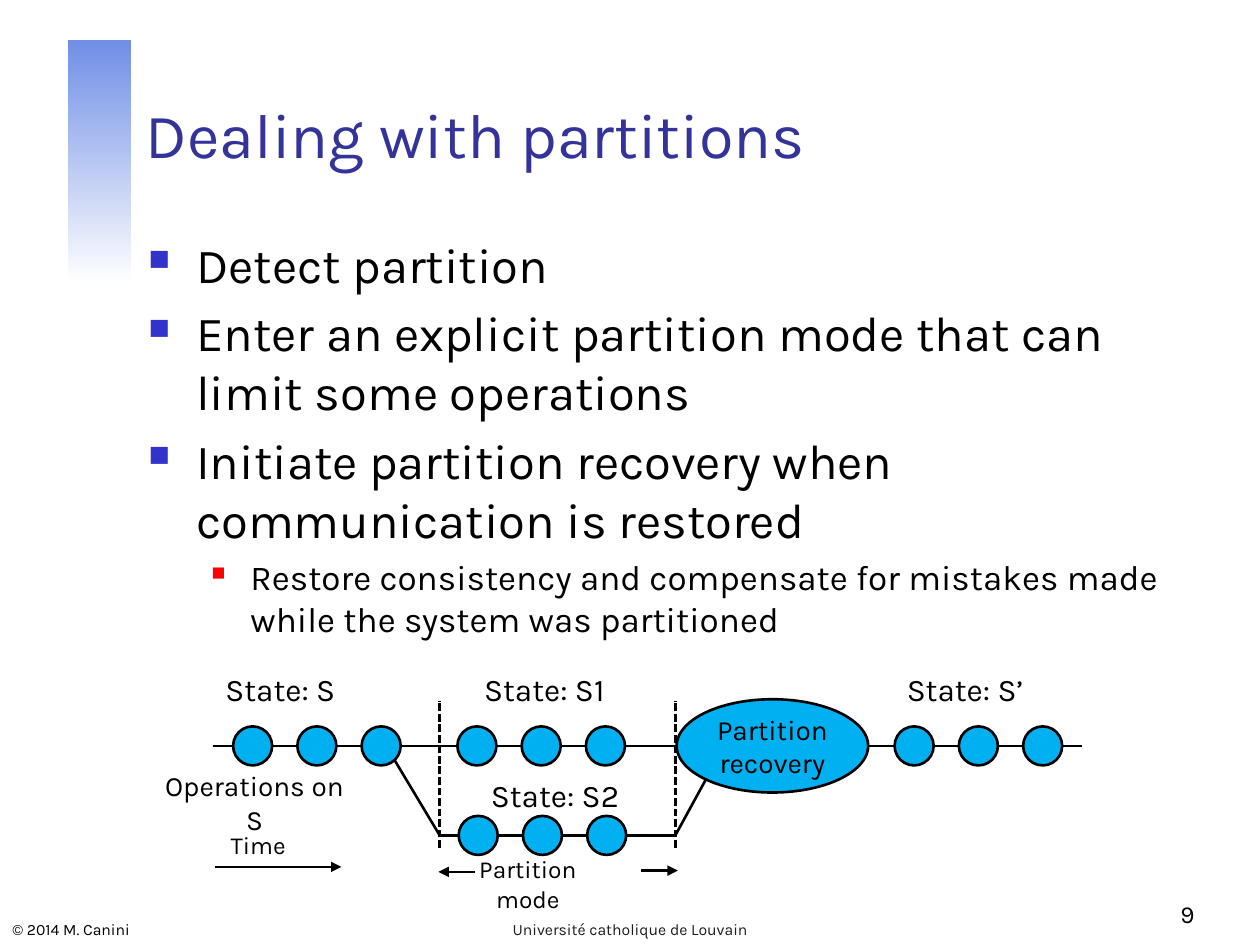
from itertools import pairwise

from lxml import etree
from pptx import Presentation
from pptx import util as u
from pptx.dml.color import RGBColor
from pptx.enum import dml, shapes, text
from pptx.oxml.ns import qn

THEME = {
    "font": "Karla", "ink": "000000", "title": "333399", "footer": "1C1C1C",
    "bullet": "3333CC", "sub_bullet": "FF0000", "node": "00B0F0",
    "band": ("708FE6", "FFFFFF"), "line": 1.5,
    "size": {"title": 36, "body": 28, "sub": 20, "state": 18, "note": 16,
             "small": 14, "footer": 9},
}
SIZE = THEME["size"]
CENTER, RIGHT = text.PP_ALIGN.CENTER, text.PP_ALIGN.RIGHT
BOTTOM = text.MSO_ANCHOR.BOTTOM

# Content
TITLE = "Dealing with partitions"
POINTS = [  # level, words
    (0, "Detect partition"),
    (0, "Enter an explicit partition mode that can limit some operations"),
    (0, "Initiate partition recovery when communication is restored"),
    (1, "Restore consistency and compensate for mistakes made while the system was partitioned"),
]
LEVELS = [  # size, bullet colour, bullet percent, text indent, hanging
    (SIZE["body"], THEME["bullet"], 60, 0.38, 0.38),
    (SIZE["sub"], THEME["sub_bullet"], 55, 0.81, 0.31),
]
FOOTERS = [  # words, box, size, colour, alignment
    ("© 2014 M. Canini", (0, 7.22, 3.02, 0.28), SIZE["footer"], THEME["ink"], None),
    ("Université catholique de Louvain", (3.42, 7.22, 3.16, 0.28), SIZE["footer"],
     THEME["footer"], CENTER),
    ("9", (7.5, 6.92, 2.08, 0.5), SIZE["small"], THEME["ink"], RIGHT),
]
LABELS = [  # words, box, size
    ("State: S", (1.68, 5.27, 1.09, 0.4), SIZE["state"]),
    ("State: S1", (3.71, 5.27, 1.22, 0.4), SIZE["state"]),
    ("State: S2", (3.79, 6.11, 1.23, 0.4), SIZE["state"]),
    ("State: S’", (7.08, 5.27, 1.16, 0.4), SIZE["state"]),
    ("Time", (1.73, 6.54, 0.64, 0.34), SIZE["small"]),
]
WRAPPED_LABELS = [  # words, box, size, left and right insets
    ("Operations on S", (1.22, 6.05, 1.8, 0.37), SIZE["note"], (0.05, 0.25)),
    ("Partition mode", (3.7, 6.73, 1.46, 0.34), SIZE["small"], (0.08, 0.56)),
]

# Diagram geometry
NODE, PITCH, NODES_PER_STATE = 0.31, 0.51, 3
MAIN_Y, BRANCH_Y = 5.92, 6.63
SPLIT_X, MERGE_X = 3.49, 5.36
RECOVERY = (5.37, 5.55, 1.52, 0.74)
TIMELINES = [  # y, line start, line end, first node of each state
    (MAIN_Y, 1.69, 8.59, (1.85, 3.63, 7.1)),
    (BRANCH_Y, SPLIT_X, MERGE_X, (3.64,)),
]
BRANCHES = [(3.13, 6.03, SPLIT_X, BRANCH_Y), (MERGE_X, BRANCH_Y, 5.6, 6.19)]
ARROWS = [(1.71, 6.88, 2.71, 6.88), (5.09, 6.91, 5.38, 6.91), (3.77, 6.92, 3.48, 6.92)]

deck = Presentation()
deck.slide_width, deck.slide_height = u.Inches(10), u.Inches(7.5)
slide = deck.slides.add_slide(deck.slide_layouts[6])


def inches(values):
    return [u.Inches(v) for v in values]


def rgb(name):
    return RGBColor.from_string(name)


def style(paragraph, size, color=THEME["ink"], align=None):
    paragraph.alignment = align
    paragraph.font.name = THEME["font"]
    paragraph.font.size = u.Pt(size)
    paragraph.font.color.rgb = rgb(color)


def add_text(words, box, size, color=THEME["ink"], align=None, anchor=None, wrap=True):
    frame = slide.shapes.add_textbox(*inches(box)).text_frame
    frame.word_wrap = wrap
    frame.vertical_anchor = anchor
    frame.text = words
    style(frame.paragraphs[0], size, color, align)
    return frame


def add_ellipse(box):
    ellipse = slide.shapes.add_shape(shapes.MSO_SHAPE.OVAL, *inches(box))
    ellipse.shadow.inherit = False
    ellipse.fill.solid()
    ellipse.fill.fore_color.rgb = rgb(THEME["node"])
    ellipse.line.color.rgb = rgb(THEME["ink"])
    ellipse.line.width = u.Pt(THEME["line"])
    return ellipse


def add_line(ends, dashed=False, arrow=False):
    line = slide.shapes.add_connector(shapes.MSO_CONNECTOR.STRAIGHT, *inches(ends))
    line.line.color.rgb = rgb(THEME["ink"])
    line.line.width = u.Pt(THEME["line"])
    if dashed:
        line.line.dash_style = dml.MSO_LINE.SQUARE_DOT
    if arrow:
        outline = line._element.spPr.find(qn("a:ln"))
        etree.SubElement(outline, qn("a:tailEnd"), type="triangle")
    etree.SubElement(line._element.spPr, qn("a:effectLst"))


def add_bullet(paragraph, color, percent, indent, hanging):
    props = paragraph._p.get_or_add_pPr()
    props.set("marL", str(u.Inches(indent)))
    props.set("indent", str(-u.Inches(hanging)))
    bullet_color = etree.SubElement(props, qn("a:buClr"))
    etree.SubElement(bullet_color, qn("a:srgbClr"), val=color)
    etree.SubElement(props, qn("a:buSzPct"), val=str(percent * 1000))
    etree.SubElement(props, qn("a:buChar"), char="■")


# Gradient band
band = slide.shapes.add_shape(shapes.MSO_SHAPE.RECTANGLE, *inches((0.54, 0.32, 0.5, 1.93)))
band.shadow.inherit = False
band.line.fill.background()
band.fill.gradient()
band.fill.gradient_angle = 270
for stop, color, position in zip(band.fill.gradient_stops, THEME["band"], (0, 1)):
    stop.color.rgb = rgb(color)
    stop.position = position

# Title, bullets and footers
add_text(TITLE, (1.06, 0.33, 8.52, 1.08), SIZE["title"], THEME["title"], anchor=BOTTOM)

body = slide.shapes.add_textbox(*inches((1.08, 1.81, 8.5, 4.96))).text_frame
body.word_wrap = True
for number, (level, words) in enumerate(POINTS):
    point = body.add_paragraph() if number else body.paragraphs[0]
    size, *bullet = LEVELS[level]
    point.text = words
    point.level = level
    add_bullet(point, *bullet)
    style(point, size)
    if number:
        point.space_before = u.Pt(size * 0.2)

for words, box, size, color, align in FOOTERS:
    add_text(words, box, size, color, align, BOTTOM)

# Timelines: nodes, then a link across each gap
for y, start, end, states in TIMELINES:
    lefts = [first + i * PITCH for first in states for i in range(NODES_PER_STATE)]
    for left in lefts:
        add_ellipse((left, y - NODE / 2, NODE, NODE))
    spans = [(start, start), (end, end)] + [(left, left + NODE) for left in lefts]
    if y == MAIN_Y:
        spans.append((RECOVERY[0], RECOVERY[0] + RECOVERY[2]))
    for (_, link_start), (link_end, _) in pairwise(sorted(spans)):
        add_line((link_start, y, link_end, y))

# Recovery step
recovery = add_ellipse(RECOVERY).text_frame
recovery.word_wrap = True
recovery.margin_left = recovery.margin_right = 0
recovery.margin_top = recovery.margin_bottom = 0
recovery.vertical_anchor = text.MSO_ANCHOR.MIDDLE
recovery.text = "Partition recovery"
style(recovery.paragraphs[0], SIZE["note"], align=CENTER)

# Branches, partition limits and arrows
for ends in BRANCHES:
    add_line(ends)
for x in (SPLIT_X, MERGE_X):
    add_line((x, 6.73, x, 5.56), dashed=True)
for ends in ARROWS:
    add_line(ends, arrow=True)

# Diagram labels
for words, box, size in LABELS:
    add_text(words, box, size, align=CENTER, wrap=False)
for words, box, size, insets in WRAPPED_LABELS:
    label = add_text(words, box, size, align=CENTER)
    label.margin_left, label.margin_right = inches(insets)

deck.save("out.pptx")
